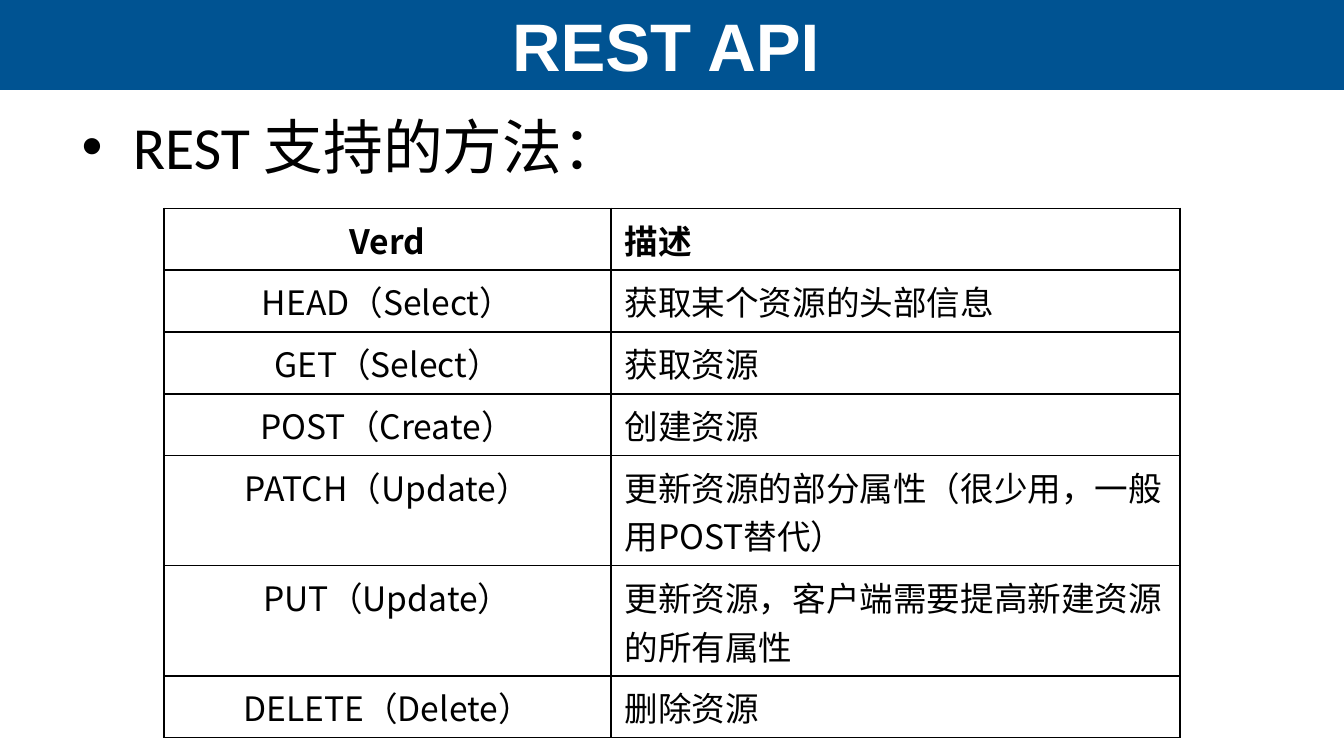
import pptx
import pptx.util
import pptx.dml.color
import pptx.enum.shapes
import pptx.enum.text
import pptx.oxml.ns
import lxml.etree

W = 10
H = W * 9 / 16
BLUE, WHITE, BLACK = "005392", "FFFFFF", "000000"
CJK = "Noto Sans CJK SC"
CENTER = pptx.enum.text.PP_ALIGN.CENTER
LEFT = pptx.enum.text.PP_ALIGN.LEFT
ROWS = [
    ("Verd", "描述"),
    ("HEAD（Select）", "获取某个资源的头部信息"),
    ("GET（Select）", "获取资源"),
    ("POST（Create）", "创建资源"),
    ("PATCH（Update）", "更新资源的部分属性（很少用，一般用POST替代）"),
    ("PUT（Update）", "更新资源，客户端需要提高新建资源的所有属性"),
    ("DELETE（Delete）", "删除资源"),
]
LINES = (1, 1, 1, 1, 2, 2, 1)
LINE_HEIGHT, CELL_PADDING = 0.36, 0.1


def rgb(value):
    """Turn a hex string into a colour."""
    return pptx.dml.color.RGBColor.from_string(value)


def inches(*values):
    """Turn numbers of inches into lengths."""
    return [pptx.util.Inches(v) for v in values]


def add_xml(parent, tag, **attrs):
    """Append a DrawingML child element and return it."""
    return lxml.etree.SubElement(parent, pptx.oxml.ns.qn(tag), attrs)


def write(tf, text, size, font, color, bold=False, align=LEFT):
    """Set one formatted paragraph and return it."""
    tf.text = text
    p = tf.paragraphs[0]
    p.alignment = align
    r = p.runs[0]
    r.font.size = pptx.util.Pt(size)
    r.font.name = font
    r.font.bold = bold
    r.font.color.rgb = rgb(color)
    add_xml(r._r.get_or_add_rPr(), "a:ea", typeface=CJK)
    return p


def title_bar(s, box, text):
    """Draw the filled band with its centred title."""
    x, y, w, h = box
    bar = s.shapes.add_shape(pptx.enum.shapes.MSO_SHAPE.RECTANGLE, *inches(*box))
    bar.shadow.inherit = False
    bar.fill.solid()
    bar.fill.fore_color.rgb = rgb(BLUE)
    bar.line.fill.background()
    title = s.shapes.add_textbox(*inches(x + 0.02, y, w - 0.13, h))
    tf = title.text_frame
    tf.word_wrap = True
    tf.vertical_anchor = pptx.enum.text.MSO_ANCHOR.MIDDLE
    write(tf, text, 36, "Arial", WHITE, True, CENTER)


def bullet_text(s, box, text):
    """Place a bulleted line with a hanging indent."""
    tf = s.shapes.add_textbox(*inches(*box)).text_frame
    tf.word_wrap = True
    p = write(tf, text, 32, "Calibri", BLACK)
    pPr = p._p.get_or_add_pPr()
    indent = pptx.util.Inches(0.38)
    pPr.set("marL", str(indent))
    pPr.set("indent", str(-indent))
    add_xml(pPr, "a:buFont", typeface="Arial")
    add_xml(pPr, "a:buChar", char="•")


def border(cell):
    """Give a cell thin black lines on all sides and no fill."""
    tcPr = cell._tc.get_or_add_tcPr()
    for side in ("a:lnL", "a:lnR", "a:lnT", "a:lnB"):
        ln = add_xml(tcPr, side, w=str(pptx.util.Pt(1)))
        add_xml(add_xml(ln, "a:solidFill"), "a:srgbClr", val=BLACK)
    cell.fill.background()


def method_table(s, box, rows, lines, shares):
    """Build the table of methods; shares split its width, lines set row heights."""
    x, y, w, h = box
    table = s.shapes.add_table(len(rows), len(shares), *inches(*box)).table
    table.first_row = table.horz_banding = False
    for column, share in zip(table.columns, shares):
        column.width = pptx.util.Inches(w * share)
    unit = (h - CELL_PADDING * len(rows)) / sum(lines)
    for i, row in enumerate(rows):
        table.rows[i].height = pptx.util.Inches(lines[i] * unit + CELL_PADDING)
        for j, text in enumerate(row):
            cell = table.cell(i, j)
            write(cell.text_frame, text, 18, CJK, BLACK, i == 0, LEFT if j else CENTER)
            border(cell)


prs = pptx.Presentation()
prs.slide_width, prs.slide_height = inches(W, H)
s = prs.slides.add_slide(prs.slide_layouts[6])
s.background.fill.solid()
s.background.fill.fore_color.rgb = rgb(WHITE)
title_bar(s, (0, 0, W, 0.67), "REST API")
bullet_text(s, (0.51, 0.77, 0.9 * W, 0.66 * H), "REST 支持的方法：")
table_height = LINE_HEIGHT * sum(LINES) + CELL_PADDING * len(ROWS)
method_table(s, (1.22, 1.55, 7.56, table_height), ROWS, LINES, (0.44, 0.56))
prs.save("out.pptx")
